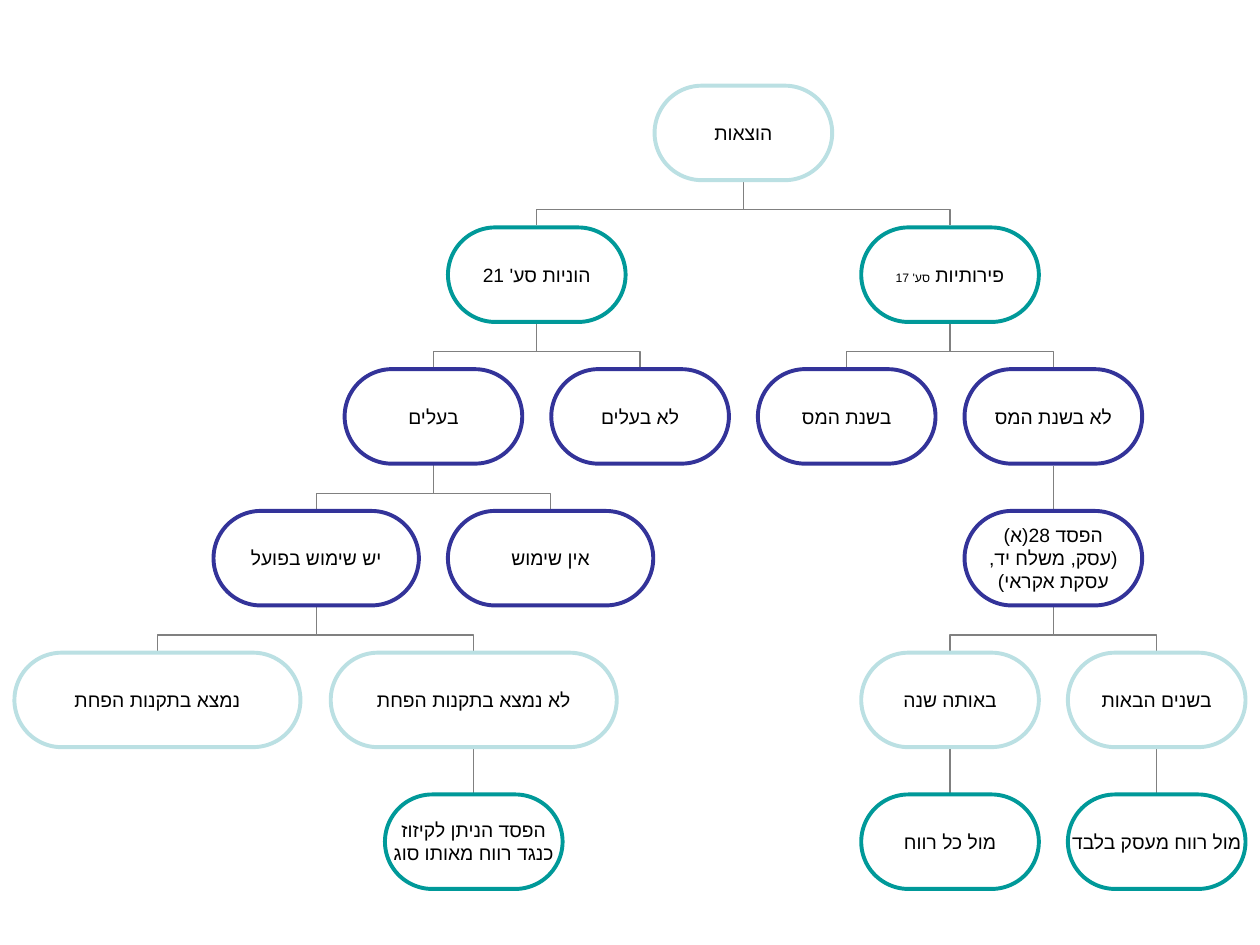
from lxml.etree import SubElement
from pptx import Presentation
from pptx.dml.color import RGBColor
from pptx.enum.shapes import MSO_CONNECTOR, MSO_SHAPE
from pptx.enum.text import MSO_ANCHOR, PP_ALIGN
from pptx.oxml.ns import qn
from pptx.util import Inches, Pt

COLORS = {
    "pale": "BBE0E3",
    "teal": "009999",
    "indigo": "333399",
    "connector": "808080",
    "text": "000000",
}
FIRST_TOP, ROW_STEP, BOX_HEIGHT = 0.68, 1.125, 0.75
LINE_GAP = 0.015  # distance between a box edge and its connector
NORMAL, MEDIUM, WIDE = 1.41, 1.63, 2.27

# name: (parent, row, centre x, width, outline, lines of text)
NODES = {
    "expenses": (None, 0, 5.90, NORMAL, "pale", ["הוצאות"]),
    "capital": ("expenses", 1, 4.26, NORMAL, "teal", ["הוניות סע' 21"]),
    "current": ("expenses", 1, 7.54, NORMAL, "teal", ["פירותיות "]),
    "owners": ("capital", 2, 3.44, NORMAL, "indigo", ["בעלים"]),
    "not owners": ("capital", 2, 5.08, NORMAL, "indigo", ["לא בעלים"]),
    "in use": ("owners", 3, 2.51, MEDIUM, "indigo", ["יש שימוש בפועל"]),
    "no use": ("owners", 3, 4.37, MEDIUM, "indigo", ["אין שימוש"]),
    "listed": ("in use", 4, 1.25, WIDE, "pale", ["נמצא בתקנות הפחת"]),
    "not listed": ("in use", 4, 3.76, WIDE, "pale", ["לא נמצא בתקנות הפחת"]),
    "tax year": ("current", 2, 6.72, NORMAL, "indigo", ["בשנת המס"]),
    "other year": ("current", 2, 8.36, NORMAL, "indigo", ["לא בשנת המס"]),
    "loss": ("other year", 3, 8.36, NORMAL, "indigo",
             ["הפסד 28(א)", "(עסק, משלח יד,", "עסקת אקראי)"]),
    "same year": ("loss", 4, 7.54, NORMAL, "pale", ["באותה שנה"]),
    "next years": ("loss", 4, 9.18, NORMAL, "pale", ["בשנים הבאות"]),
    "business gain": ("next years", 5, 9.18, NORMAL, "teal", ["מול רווח מעסק בלבד"]),
    "any gain": ("same year", 5, 7.54, NORMAL, "teal", ["מול כל רווח"]),
    "offset": ("not listed", 5, 3.76, NORMAL, "teal",
               ["הפסד הניתן לקיזוז", "כנגד רווח מאותו סוג"]),
}

deck = Presentation()
deck.slide_width, deck.slide_height = Inches(10), Inches(7.5)
page = deck.slides.add_slide(deck.slide_layouts[6])

# Connectors, from each child up to its parent
for parent, row, center, *_ in NODES.values():
    if parent is None:
        continue
    parent_center = NODES[parent][2]
    start = FIRST_TOP + row * ROW_STEP - LINE_GAP
    end = start - (ROW_STEP - BOX_HEIGHT) + 2 * LINE_GAP
    if center == parent_center:
        link = page.shapes.add_connector(
            MSO_CONNECTOR.STRAIGHT, Inches(center), Inches(start), Inches(center), Inches(end))
    else:
        # An elbow runs sideways, so it is laid flat and then turned upright
        middle_x, middle_y = (center + parent_center) / 2, (start + end) / 2
        half_rise, half_run = (start - end) / 2, abs(center - parent_center) / 2
        side = -1 if center > parent_center else 1
        link = page.shapes.add_connector(
            MSO_CONNECTOR.ELBOW,
            Inches(middle_x + side * half_rise), Inches(middle_y + half_run),
            Inches(middle_x - side * half_rise), Inches(middle_y - half_run))
        properties = link._element.spPr
        properties.find(qn("a:xfrm")).set("rot", str((180 - 90 * side) * 60000))
        guides = properties.find(qn("a:prstGeom")).find(qn("a:avLst"))
        SubElement(guides, qn("a:gd"), name="adj1", fmla="val 36000")
    link.line.color.rgb = RGBColor.from_string(COLORS["connector"])
    link.line.width = Pt(0.75)
    SubElement(link._element.spPr, qn("a:effectLst"))

# Boxes
boxes = {}
for name, (_, row, center, width, outline, lines) in NODES.items():
    box = page.shapes.add_shape(
        MSO_SHAPE.ROUNDED_RECTANGLE,
        Inches(center - width / 2), Inches(FIRST_TOP + row * ROW_STEP),
        Inches(width), Inches(BOX_HEIGHT))
    boxes[name] = box
    box.adjustments[0] = 0.5
    box.shadow.inherit = False
    box.fill.background()
    box.line.color.rgb = RGBColor.from_string(COLORS[outline])
    box.line.width = Pt(2.25)

    frame = box.text_frame
    frame.word_wrap = False
    frame.vertical_anchor = MSO_ANCHOR.MIDDLE
    frame.margin_left = frame.margin_right = frame.margin_top = frame.margin_bottom = 0
    frame.text = "\n".join(lines)
    for para in frame.paragraphs:
        para.alignment = PP_ALIGN.CENTER
        para._p.get_or_add_pPr().set("rtl", "1")
        para.font.size = Pt(11)
        para.font.name = "Arial"
        para.font.color.rgb = RGBColor.from_string(COLORS["text"])
        SubElement(para.font._element, qn("a:cs"), typeface="Arial")

# Smaller section reference beside the current expenses
span = boxes["current"].text_frame.paragraphs[0].add_run()
span.text = "סע' 17"
span.font.size = Pt(7)

deck.save("out.pptx")
